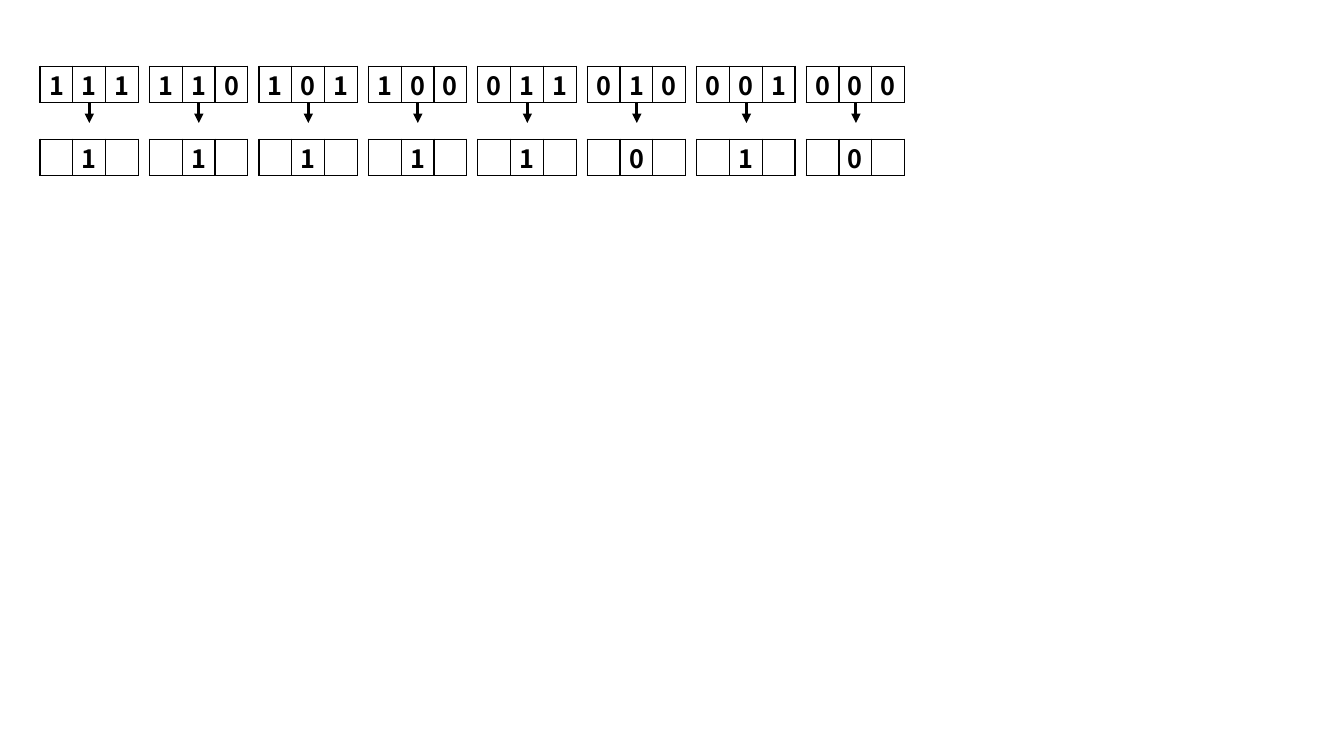
from lxml import etree
from pptx import Presentation
from pptx.dml.color import RGBColor
from pptx.enum.shapes import MSO_CONNECTOR as Link
from pptx.enum.text import MSO_ANCHOR as Anchor, PP_ALIGN as Align
from pptx.oxml.ns import qn
from pptx.util import Cm, Pt

INK = "000000"
FONT = "Noto Sans CJK JP"
RULE = {"111": "1", "110": "1", "101": "1", "100": "1",
        "011": "1", "010": "0", "001": "1", "000": "0"}
GAP = 0.28
ARROW = 0.51


def paint(color, code):
    color.rgb = RGBColor.from_string(code)


def add(parent, tag, **attrs):
    return etree.SubElement(parent, qn(tag), attrs)


def edge(cell, shown):
    """Draw the named sides (of L, R, T, B) and clear the others."""
    props = cell._tc.get_or_add_tcPr()
    for spot, side in enumerate("LRTB"):
        line = add(props, f"a:ln{side}", w=str(Pt(1)))
        props.insert(spot, line)
        if side in shown:
            add(add(line, "a:solidFill"), "a:srgbClr", val=INK)
        else:
            add(line, "a:noFill")


def write(cell, text):
    cell.margin_left = cell.margin_right = 0
    cell.margin_top = cell.margin_bottom = 0
    cell.vertical_anchor = Anchor.MIDDLE
    cell.text = text
    para = cell.text_frame.paragraphs[0]
    para.alignment = Align.CENTER
    font = para.font
    font.name, font.size, font.bold = FONT, Pt(18), True
    paint(font.color, INK)


def arrow(slide, x, top, size):
    line = slide.shapes.add_connector(
        Link.STRAIGHT, Cm(x), Cm(top), Cm(x), Cm(top + size))
    line.line.width = Pt(2.25)
    paint(line.line.color, INK)
    add(line.line._get_or_add_ln(), "a:tailEnd", type="triangle")
    add(line._element.spPr, "a:effectLst")


def rules(slide, left, top, width, height):
    """Show each three-bit state above the bit it leads to."""
    count = len(RULE)
    bit = (width - GAP * (count - 1)) / (3 * count)
    rows = [" ".join(RULE), "", " ".join(f"_{new}_" for new in RULE.values())]
    high = height / len(rows)
    frame = slide.shapes.add_table(
        len(rows), 4 * count - 1, Cm(left), Cm(top), Cm(width), Cm(height))
    table = frame.table
    table.first_row = table.horz_banding = False
    for i, col in enumerate(table.columns):
        col.width = Cm(GAP if i % 4 == 3 else bit)
    for r, text in enumerate(rows):
        table.rows[r].height = Cm(high)
        for c in range(len(table.columns)):
            cell = table.cell(r, c)
            cell.fill.background()
            write(cell, text[c:c + 1].strip(" _"))
            edge(cell, ("LR" if text else "") + ("TB" if c % 4 < 3 else ""))
    for i in range(count):
        mid = left + i * (3 * bit + GAP) + 1.5 * bit
        arrow(slide, mid, top + high, ARROW)


def main():
    deck = Presentation()
    deck.slide_width, deck.slide_height = Cm(33.87), Cm(19.05)
    slide = deck.slides.add_slide(deck.slide_layouts[6])
    rules(slide, 1.01, 1.67, 21.8, 2.76)
    deck.save("out.pptx")


if __name__ == "__main__":
    main()
